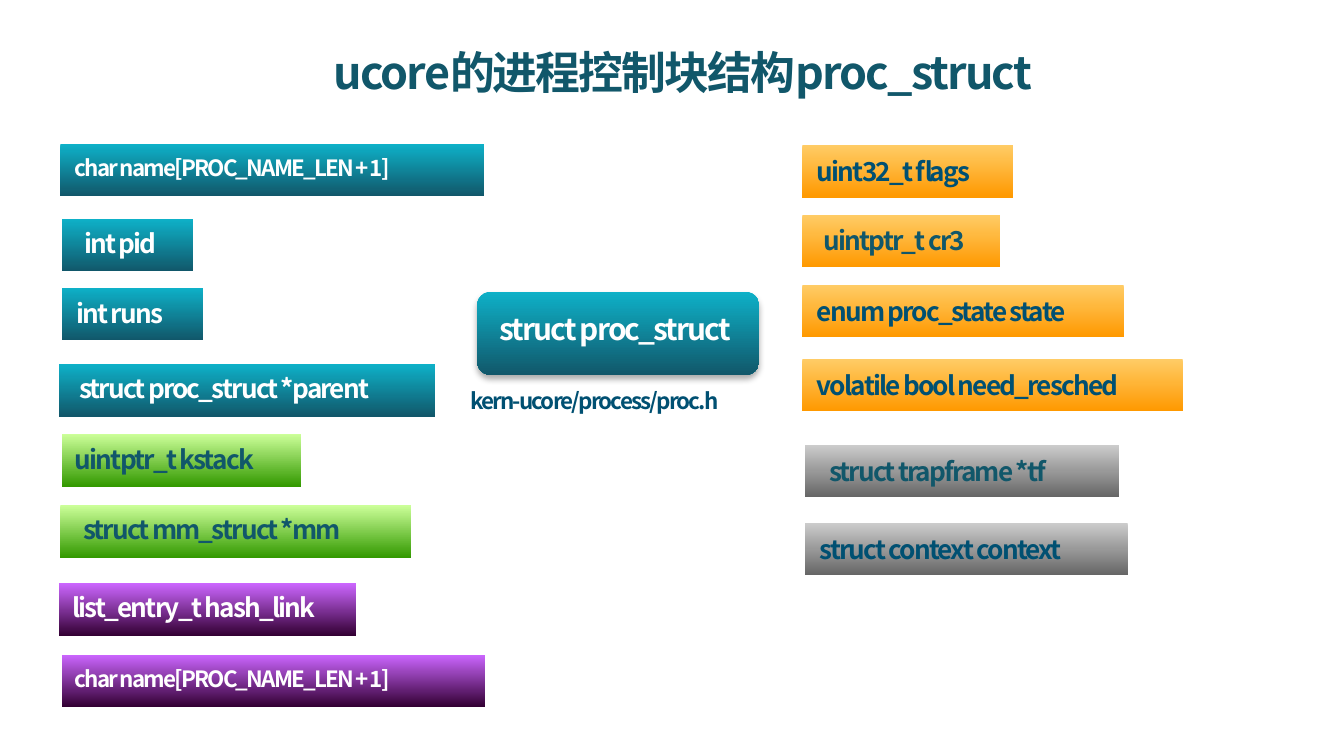
import pptx
import pptx.util
import pptx.dml.color
import pptx.enum.shapes
import pptx.enum.text
import pptx.oxml
import pptx.oxml.ns
from lxml import etree

Inches, Pt = pptx.util.Inches, pptx.util.Pt
RGB = pptx.dml.color.RGBColor.from_string
MSO = pptx.enum.shapes.MSO_SHAPE
TEXT = pptx.enum.text

THEME = {
    "font": "Noto Sans CJK SC",
    "title": 24, "center": 16, "field": 14, "small": 12,
    "white": "FFFFFF", "teal": "11576A", "navy": "005072",
    "gradients": {
        "teal": ("0EB1C8", "11576A"),
        "green": ("CCFF99", "339900"),
        "purple": ("CC66FF", "330033"),
        "orange": ("FFCC66", "FF9900"),
        "gray": ("CCCCCC", "666666"),
    },
}
BAR_H = 0.39

TITLE = "ucore的进程控制块结构proc_struct"
SOURCE_FILE = "kern-ucore/process/proc.h"
CENTER = "struct proc_struct"

# Struct members: text, left, top, bar width, gradient, text colour, size, label offset (x, y)
FIELDS = [
    ("char name[PROC_NAME_LEN + 1]", 0.45, 1.07, 3.15, "teal", "white", "small", (0.01, 0.03)),
    ("int pid", 0.46, 1.63, 0.98, "teal", "white", "field", (0.07, 0.01)),
    ("int runs", 0.46, 2.14, 1.05, "teal", "white", "field", (0.01, 0.02)),
    ("struct proc_struct *parent", 0.44, 2.71, 2.8, "teal", "white", "field", (0.05, 0.01)),
    ("uintptr_t kstack", 0.46, 3.23, 1.78, "green", "teal", "field", (0, 0.02)),
    ("struct mm_struct *mm", 0.45, 3.76, 2.61, "green", "teal", "field", (0.07, 0.01)),
    ("list_entry_t hash_link", 0.44, 4.34, 2.21, "purple", "white", "field", (0, 0.01)),
    ("char name[PROC_NAME_LEN + 1]", 0.46, 4.87, 3.15, "purple", "white", "small", (0, 0.03)),
    ("uint32_t flags", 5.97, 1.08, 1.57, "orange", "navy", "field", (0.01, 0.03)),
    ("uintptr_t cr3", 5.97, 1.6, 1.47, "orange", "teal", "field", (0.06, 0.02)),
    ("enum proc_state state", 5.97, 2.12, 2.39, "orange", "navy", "field", (0.01, 0.03)),
    ("volatile bool need_resched", 5.97, 2.67, 2.83, "orange", "navy", "field", (0.01, 0.03)),
    ("struct trapframe *tf", 5.99, 3.31, 2.34, "gray", "teal", "field", (0.08, 0.03)),
    ("struct context context", 5.99, 3.89, 2.4, "gray", "navy", "field", (0.01, 0.03)),
]


def write(tf, text, size, color):
    """Put one bold, tightly spaced line into a text frame."""
    p = tf.paragraphs[0]
    r = p.add_run()
    r.text = text
    p.font.name, p.font.size, p.font.bold = THEME["font"], Pt(THEME[size]), True
    p.font.color.rgb = RGB(THEME[color])
    rPr = r._r.get_or_add_rPr()
    rPr.set("spc", "-100")
    etree.SubElement(rPr, pptx.oxml.ns.qn("a:ea"), typeface=THEME["font"])
    return p


def add_label(shapes, text, left, top, width, height, size, color):
    box = shapes.add_textbox(Inches(left), Inches(top), Inches(width), Inches(height))
    box.text_frame.word_wrap = True
    box.text_frame.auto_size = TEXT.MSO_AUTO_SIZE.SHAPE_TO_FIT_TEXT
    write(box.text_frame, text, size, color)


def add_bar(shapes, kind, left, top, width, height, gradient):
    bar = shapes.add_shape(kind, Inches(left), Inches(top), Inches(width), Inches(height))
    bar.shadow.inherit = False
    bar.line.fill.background()
    bar.fill.gradient()
    bar.fill.gradient_angle = 270
    for stop, color in zip(bar.fill.gradient_stops, THEME["gradients"][gradient]):
        stop.color.rgb = RGB(color)
    return bar


def add_soft_shadow(shape):
    effects = shape._element.spPr.find(pptx.oxml.ns.qn("a:effectLst"))
    effects.append(pptx.oxml.parse_xml(
        f'<a:outerShdw {pptx.oxml.ns.nsdecls("a")} blurRad="{Pt(3.5)}" dist="{Pt(2.2)}" '
        'dir="5400000" rotWithShape="0"><a:srgbClr val="000000">'
        '<a:alpha val="32000"/></a:srgbClr></a:outerShdw>'))


prs = pptx.Presentation()
prs.slide_width = Inches(10)
prs.slide_height = prs.slide_width * 9 // 16
s = prs.slides.add_slide(prs.slide_layouts[5])

# Title
title = s.shapes.title
title.left, title.top, title.width, title.height = map(Inches, (0.16, 0.31, 9.84, 0.56))
title.text_frame.vertical_anchor = TEXT.MSO_ANCHOR.TOP
title.text_frame.margin_top = Inches(0.02)
write(title.text_frame, TITLE, "title", "teal").alignment = TEXT.PP_ALIGN.CENTER

# Struct members, each a bar grouped with its label
for text, left, top, width, gradient, color, size, (dx, dy) in FIELDS:
    group = s.shapes.add_group_shape().shapes
    add_bar(group, MSO.RECTANGLE, left, top, width, BAR_H, gradient)
    add_label(group, text, left + dx, top + dy, width + 0.15, 0.35, size, color)

# Source file and the struct in the centre
add_label(s.shapes, SOURCE_FILE, 3.4, 2.83, 2.31, 0.3, "small", "navy")
group = s.shapes.add_group_shape().shapes
add_soft_shadow(add_bar(group, MSO.ROUNDED_RECTANGLE, 3.55, 2.17, 2.1, 0.62, "teal"))
add_label(group, CENTER, 3.62, 2.26, 2.38, 0.38, "center", "white")

prs.save("out.pptx")
